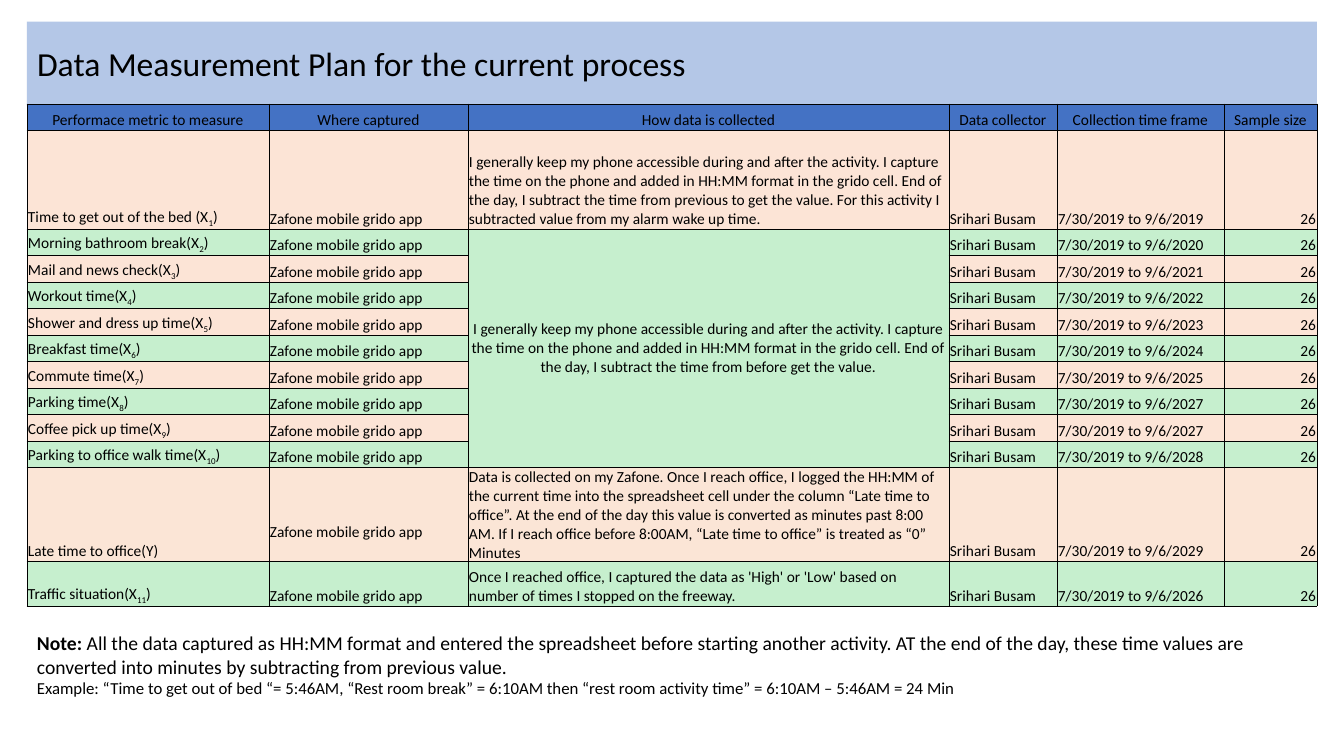
from lxml import etree
from pptx import Presentation
from pptx.dml.color import RGBColor
from pptx.enum.text import MSO_ANCHOR, MSO_AUTO_SIZE, PP_ALIGN
from pptx.oxml.ns import qn
from pptx.util import Emu, Inches, Pt

LEFT, CENTER, RIGHT = PP_ALIGN.LEFT, PP_ALIGN.CENTER, PP_ALIGN.RIGHT
MIDDLE, BOTTOM = MSO_ANCHOR.MIDDLE, MSO_ANCHOR.BOTTOM
GROW = MSO_AUTO_SIZE.SHAPE_TO_FIT_TEXT
TITLE_ONLY = 5

BLACK = RGBColor(0x00, 0x00, 0x00)
TITLE_BLUE = RGBColor(0xB4, 0xC7, 0xE7)
HEADER_BLUE = RGBColor(0x44, 0x72, 0xC4)
PEACH = RGBColor(0xFC, 0xE4, 0xD6)
LATE_PEACH = RGBColor(0xFB, 0xE5, 0xD6)
GREEN = RGBColor(0xC6, 0xEF, 0xCE)

FONT = "Calibri"
PX_PER_INCH = 100.8
SLIDE_SIZE = (1344, 756)
TITLE_BOX = (27, 38, 1290, 51)
TABLE_BOX = (27, 104, 1290, 502)
NOTE_BOX = (27, 626, 1290, 78)

COLUMN_WIDTHS = [242, 199, 481, 108, 167, 93]
ROW_HEIGHTS = [26, 99] + [26, 27] * 4 + [26, 94, 45]
ALIGNMENTS = [LEFT, LEFT, LEFT, LEFT, LEFT, RIGHT]
SHARED_FIRST, SHARED_LAST, LATE_ROW = 2, 10, 11
METHOD_COLUMN, CAPTURED_COLUMN = 2, 1
LINE_HEIGHT = 19

TITLE = "Data Measurement Plan for the current process"
HEADERS = ["Performace metric to measure", "Where captured", "How data is collected",
           "Data collector", "Collection time frame", "Sample size"]
CAPTURED = "Zafone mobile grido app"
COLLECTOR = "Srihari Busam"
SAMPLE_SIZE = "26"
KEEP_PHONE = ("I generally keep my phone accessible during and after the activity. I capture "
              "the time on the phone and added in HH:MM format in the grido cell. End of "
              "the day, I subtract the time from ")
METHOD_BED = KEEP_PHONE + ("previous to get the value. For this activity I subtracted value "
                           "from my alarm wake up time.")
METHOD_SHARED = KEEP_PHONE + "before get the value."
METHOD_LATE = ("Data is collected on my Zafone. Once I reach office, I logged the HH:MM of the "
               "current time into the spreadsheet cell under the column “Late time to office”. "
               "At the end of the day this value is converted as minutes past 8:00 AM. If I "
               "reach office before 8:00AM, “Late time to office” is treated as “0” Minutes")
METHOD_TRAFFIC = ("Once I reached office, I captured the data as 'High' or 'Low' based on "
                  "number of times I stopped on the freeway.")
METRICS = [
    ("Time to get out of the bed (X", "1", 2019, METHOD_BED),
    ("Morning bathroom break(X", "2", 2020, METHOD_SHARED),
    ("Mail and news check(X", "3", 2021, ""),
    ("Workout time(X", "4", 2022, ""),
    ("Shower and dress up time(X", "5", 2023, ""),
    ("Breakfast time(X", "6", 2024, ""),
    ("Commute time(X", "7", 2025, ""),
    ("Parking time(X", "8", 2027, ""),
    ("Coffee pick up time(X", "9", 2027, ""),
    ("Parking to office walk time(X", "10", 2028, ""),
    ("Late time to office(Y", "", 2029, METHOD_LATE),
    ("Traffic situation(X", "11", 2026, METHOD_TRAFFIC),
]
NOTE = ("All the data captured as HH:MM format and entered the spreadsheet before starting "
        "another activity. AT the end of the day, these time values are converted into "
        "minutes by subtracting from previous value.")
EXAMPLE = ("Example: “Time to get out of bed “= 5:46AM, “Rest room break” = 6:10AM then "
           "“rest room activity time” = 6:10AM – 5:46AM = 24 Min")


def px(length):
    """Turn a length in px into EMU."""
    return Emu(round(length * Inches(1) / PX_PER_INCH))


def add_run(paragraph, text, size, bold=False, subscript=False):
    """Append one formatted run to a paragraph."""
    run = paragraph.add_run()
    run.text = text
    run.font.name = FONT
    run.font.size = Pt(size)
    run.font.bold = bold
    run.font.color.rgb = BLACK
    if subscript:
        run.font._element.set("baseline", "-25000")


def add_borders(cell):
    """Draw a thin black line on all four sides of a cell."""
    properties = cell._tc.get_or_add_tcPr()
    for side in ("a:lnL", "a:lnR", "a:lnT", "a:lnB"):
        line = etree.SubElement(properties, qn(side), w=str(Pt(0.5)))
        fill = etree.SubElement(line, qn("a:solidFill"))
        etree.SubElement(fill, qn("a:srgbClr"), val=str(BLACK))


def format_cell(cell, pieces, color, alignment):
    """Fill and border a cell and write its (text, subscript) pieces."""
    add_borders(cell)
    cell.fill.solid()
    cell.fill.fore_color.rgb = color
    cell.margin_left = cell.margin_right = cell.margin_top = px(1)
    cell.margin_bottom = 0
    cell.vertical_anchor = BOTTOM
    paragraph = cell.text_frame.paragraphs[0]
    paragraph.alignment = alignment
    for text, subscript in pieces:
        if text:
            add_run(paragraph, text, 11, subscript=subscript)


def add_title(slide, box):
    """Place the title on its light blue band."""
    title = slide.shapes.title
    title.left, title.top, title.width, title.height = map(px, box)
    title.fill.solid()
    title.fill.fore_color.rgb = TITLE_BLUE
    frame = title.text_frame
    frame.word_wrap = True
    frame.auto_size = GROW
    frame.vertical_anchor = MIDDLE
    paragraph = frame.paragraphs[0]
    paragraph.alignment = LEFT
    add_run(paragraph, TITLE, 24)


def add_plan_table(slide, box):
    """Build the measurement plan with one row for each metric."""
    shape = slide.shapes.add_table(len(ROW_HEIGHTS), len(COLUMN_WIDTHS), *map(px, box))
    table = shape.table
    table.first_row = table.horz_banding = False
    for column, width in zip(table.columns, COLUMN_WIDTHS):
        column.width = px(width)
    for row, height in zip(table.rows, ROW_HEIGHTS):
        row.height = px(height)
    for column, header in enumerate(HEADERS):
        format_cell(table.cell(0, column), [(header, False)], HEADER_BLUE, CENTER)
    for row, (name, index, year, method) in enumerate(METRICS, start=1):
        color = LATE_PEACH if row == LATE_ROW else PEACH if row % 2 else GREEN
        values = ["", CAPTURED, method, COLLECTOR, f"7/30/2019 to 9/6/{year}", SAMPLE_SIZE]
        for column, value in enumerate(values):
            pieces = [(value, False)] if column else [(name, False), (index, True), (")", False)]
            format_cell(table.cell(row, column), pieces, color, ALIGNMENTS[column])
    table.cell(LATE_ROW, CAPTURED_COLUMN).margin_bottom = px(LINE_HEIGHT)
    shared = table.cell(SHARED_FIRST, METHOD_COLUMN)
    shared.merge(table.cell(SHARED_LAST, METHOD_COLUMN))
    shared.vertical_anchor = MIDDLE
    shared.text_frame.paragraphs[0].alignment = CENTER


def add_note(slide, box):
    """Write the note and its example below the table."""
    frame = slide.shapes.add_textbox(*map(px, box)).text_frame
    frame.word_wrap = True
    frame.auto_size = GROW
    note = frame.paragraphs[0]
    add_run(note, "Note: ", 14, bold=True)
    add_run(note, NOTE, 14)
    add_run(frame.add_paragraph(), EXAMPLE, 12)


def main():
    """Build and save the slide."""
    presentation = Presentation()
    presentation.slide_width, presentation.slide_height = map(px, SLIDE_SIZE)
    slide = presentation.slides.add_slide(presentation.slide_layouts[TITLE_ONLY])
    add_title(slide, TITLE_BOX)
    add_plan_table(slide, TABLE_BOX)
    add_note(slide, NOTE_BOX)
    presentation.save("out.pptx")


if __name__ == "__main__":
    main()
